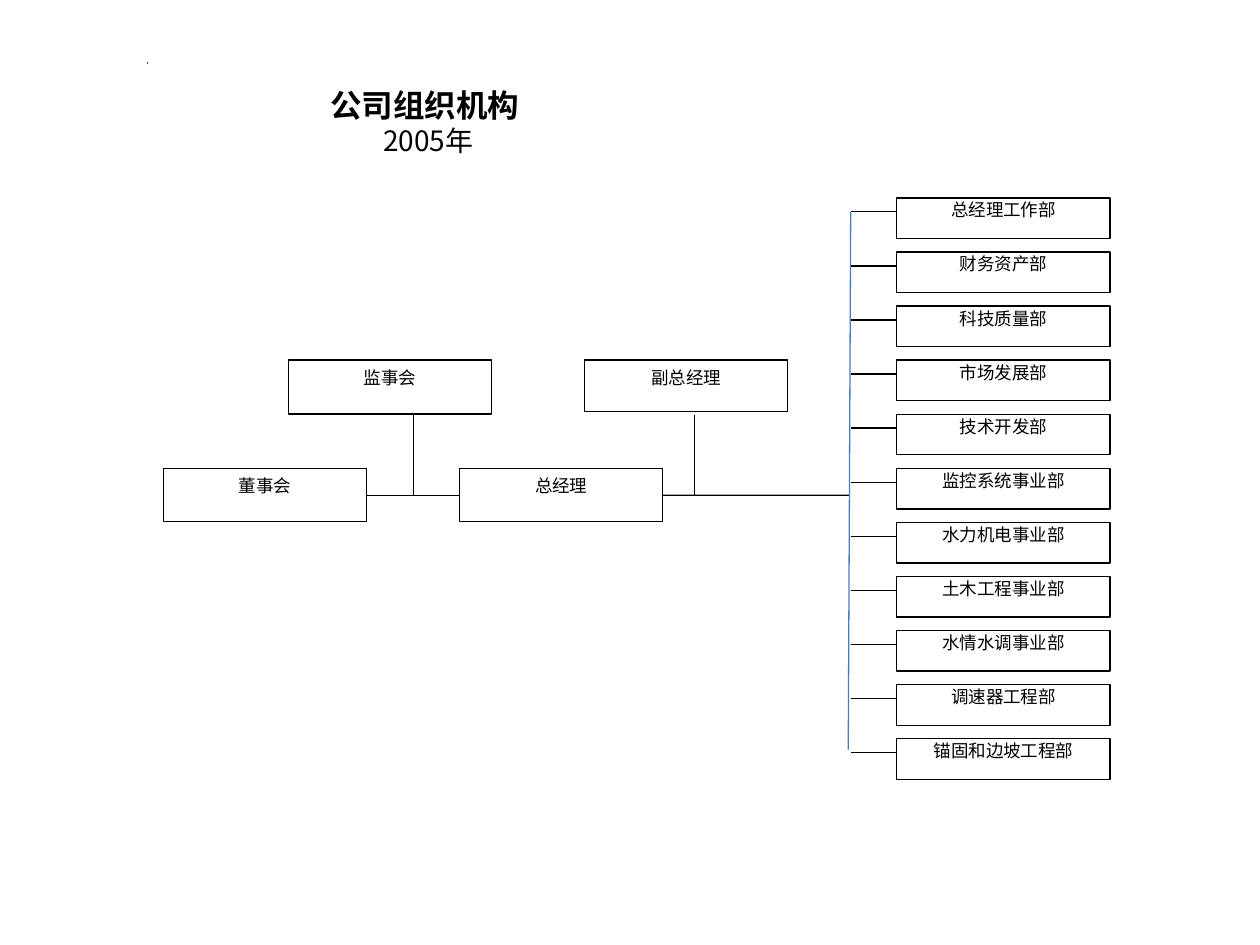
"""Build a company organisation chart slide."""
from lxml.etree import SubElement
from pptx import Presentation
from pptx.dml.color import RGBColor
from pptx.enum.shapes import MSO_CONNECTOR, MSO_SHAPE
from pptx.enum.text import MSO_ANCHOR, MSO_AUTO_SIZE, PP_ALIGN
from pptx.oxml.ns import qn
from pptx.util import Cm, Pt

BLACK = RGBColor(0x00, 0x00, 0x00)
WHITE = RGBColor(0xFF, 0xFF, 0xFF)
BLUE = RGBColor(0x4A, 0x7E, 0xBB)
DOT_BLUE = RGBColor(0x4F, 0x81, 0xBD)
LEFT, RIGHT = 1, 3

DEPARTMENTS = [
    "总经理工作部", "财务资产部", "科技质量部", "市场发展部",
    "技术开发部", "监控系统事业部", "水力机电事业部", "土木工程事业部",
    "水情水调事业部", "调速器工程部", "锚固和边坡工程部",
]


class OrgChart:
    font = "Noto Sans CJK SC"
    line_width = Pt(0.75)

    def __init__(self, prs):
        self.s = prs.slides.add_slide(prs.slide_layouts[6])

    def rect(self, x, y, w, h, fill=WHITE, line=BLACK):
        sp = self.s.shapes.add_shape(
            MSO_SHAPE.RECTANGLE, Cm(x), Cm(y), Cm(w), Cm(h))
        sp.shadow.inherit = False
        sp.fill.solid()
        sp.fill.fore_color.rgb = fill
        sp.line.color.rgb = line
        sp.line.width = self.line_width
        return sp

    def add_text(self, p, text, size, bold=False):
        p.alignment = PP_ALIGN.CENTER
        r = p.add_run()
        r.text = text
        r.font.size = Pt(size)
        r.font.bold = bold
        r.font.color.rgb = BLACK
        r.font.name = self.font
        SubElement(r._r.get_or_add_rPr(), qn("a:ea"), typeface=self.font)

    def box(self, text, x, y, w, h, margin=0.13):
        sp = self.rect(x, y, w, h)
        tf = sp.text_frame
        tf.vertical_anchor = MSO_ANCHOR.TOP
        tf.margin_top = tf.margin_bottom = Cm(margin)
        self.add_text(tf.paragraphs[0], text, 10)
        return sp

    def title(self, text, subtitle, x, y, w, h):
        tf = self.rect(x, y, w, h, line=WHITE).text_frame
        tf.vertical_anchor = MSO_ANCHOR.TOP
        tf.auto_size = MSO_AUTO_SIZE.SHAPE_TO_FIT_TEXT
        self.add_text(tf.paragraphs[0], text, 18, bold=True)
        self.add_text(tf.add_paragraph(), subtitle, 16)

    def line(self, x1, y1, x2, y2, color=BLACK, begin=None, end=None):
        c = self.s.shapes.add_connector(
            MSO_CONNECTOR.STRAIGHT, Cm(x1), Cm(y1), Cm(x2), Cm(y2))
        c.line.color.rgb = color
        c.line.width = self.line_width
        SubElement(c._element.spPr, qn("a:effectLst"))
        if begin:
            c.begin_connect(*begin)
        if end:
            c.end_connect(*end)


def main():
    prs = Presentation()
    prs.slide_width, prs.slide_height = Cm(25.4), Cm(19.05)
    chart = OrgChart(prs)

    chart.title("公司组织机构 ", "2005年", 4.57, 1.6, 8.13, 1.7)
    chart.rect(2.97, 1.27, 0, 0, fill=DOT_BLUE)

    box_w, upper_y, lower_y, lower_h = 4.09, 7.26, 9.45, 1.07
    axis_y = lower_y + lower_h / 2
    chart.box("监事会", 5.82, upper_y, box_w, 1.09)
    chart.box("副总经理", 11.79, upper_y, box_w, 1.04)
    board = chart.box("董事会", 3.3, lower_y, box_w, lower_h)
    manager = chart.box("总经理", 9.27, lower_y, box_w, lower_h)

    chart.line(7.39, axis_y, 9.27, axis_y,
               begin=(board, RIGHT), end=(manager, LEFT))
    chart.line(13.36, axis_y, 17.12, axis_y, begin=(manager, RIGHT))
    for x in (8.33, 14):
        chart.line(x, 8.36, x, axis_y)

    dept_x, dept_y, pitch, trunk_x = 18.08, 3.99, 1.09, 17.15
    for i, name in enumerate(DEPARTMENTS):
        y = dept_y + i * pitch
        chart.line(trunk_x, y + 0.28, dept_x, y + 0.28)
        chart.box(name, dept_x, y, 4.3, 0.82, margin=0.03)
    chart.line(trunk_x, 4.27, 17.1, 15.11, color=BLUE)

    prs.save("out.pptx")


if __name__ == "__main__":
    main()
